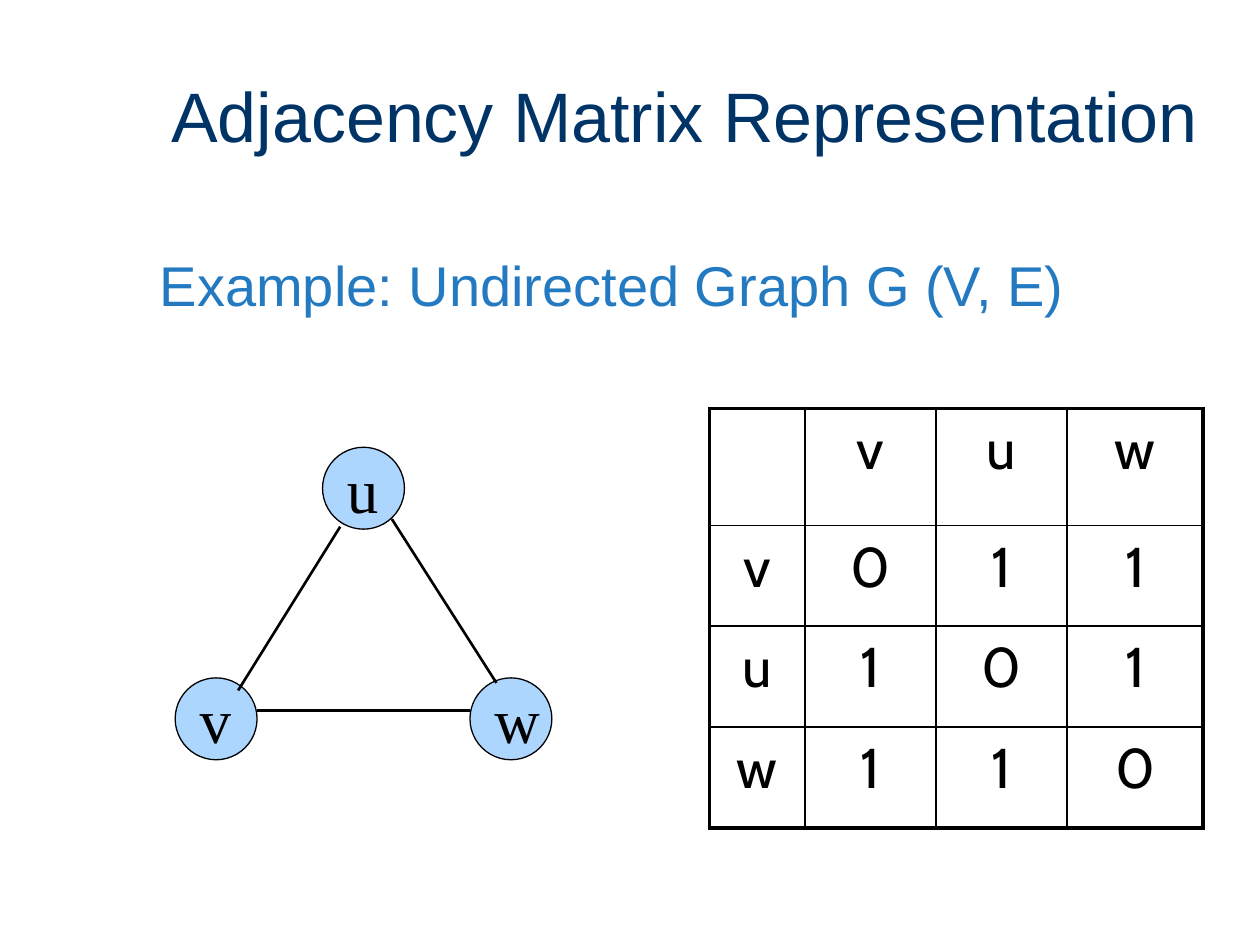
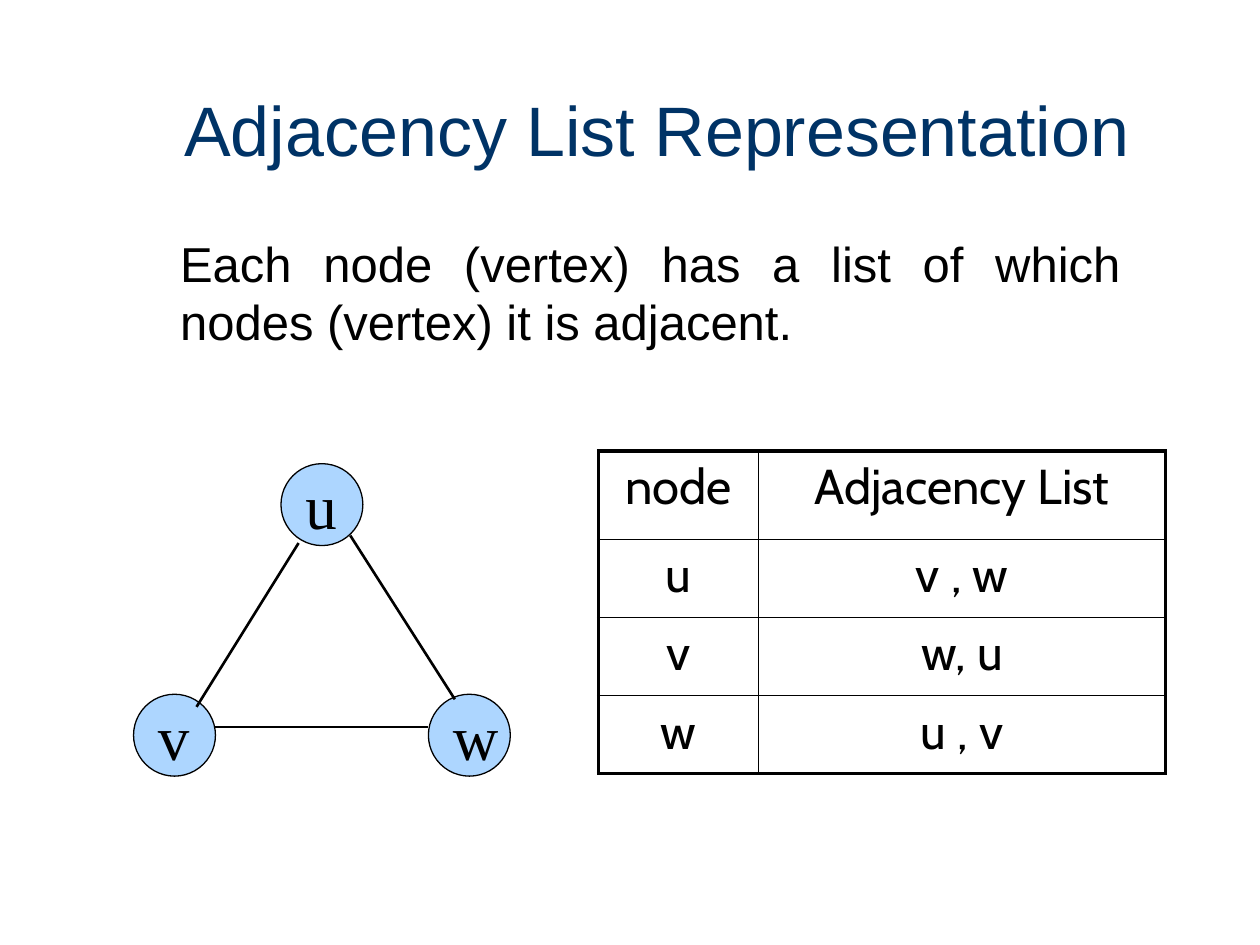
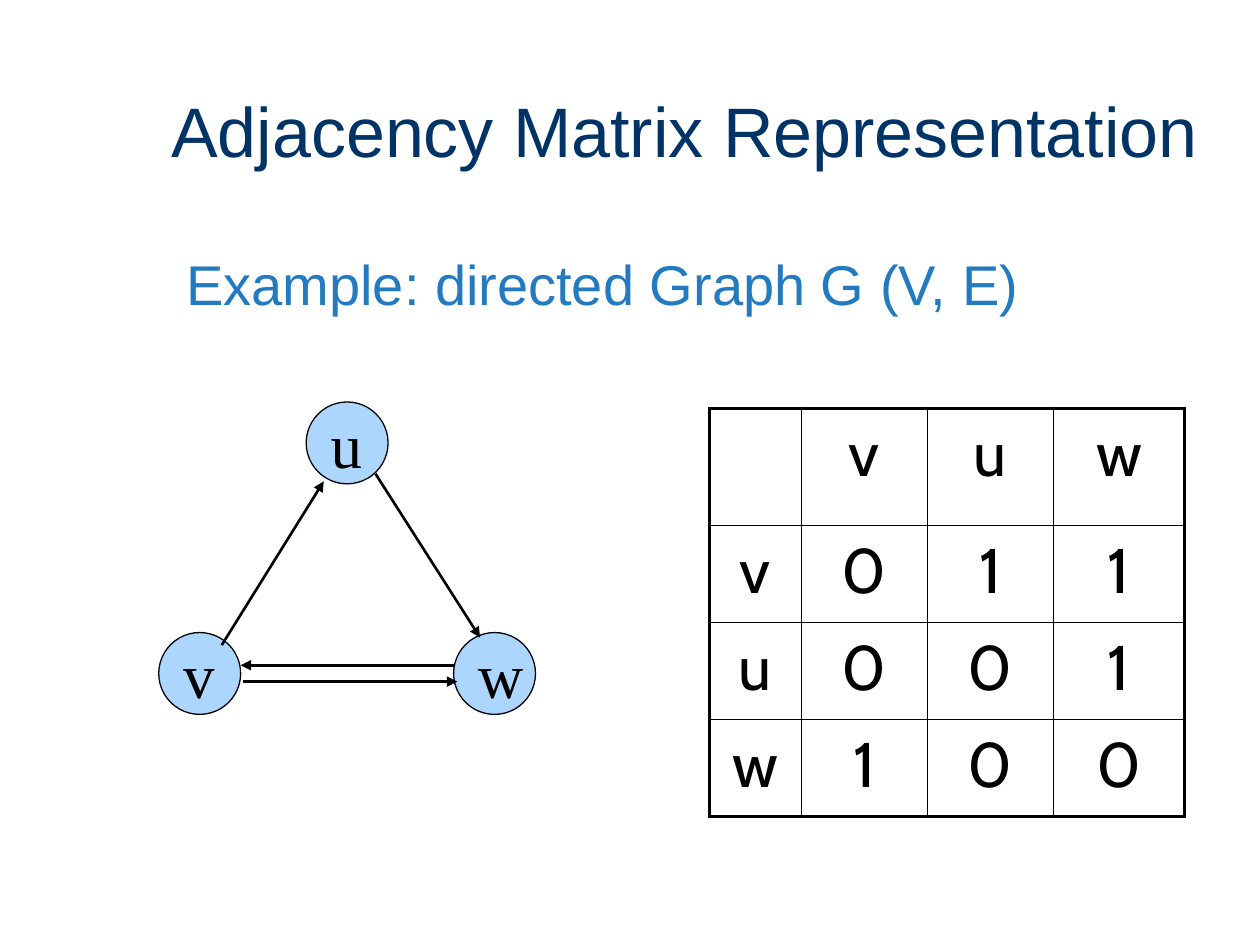
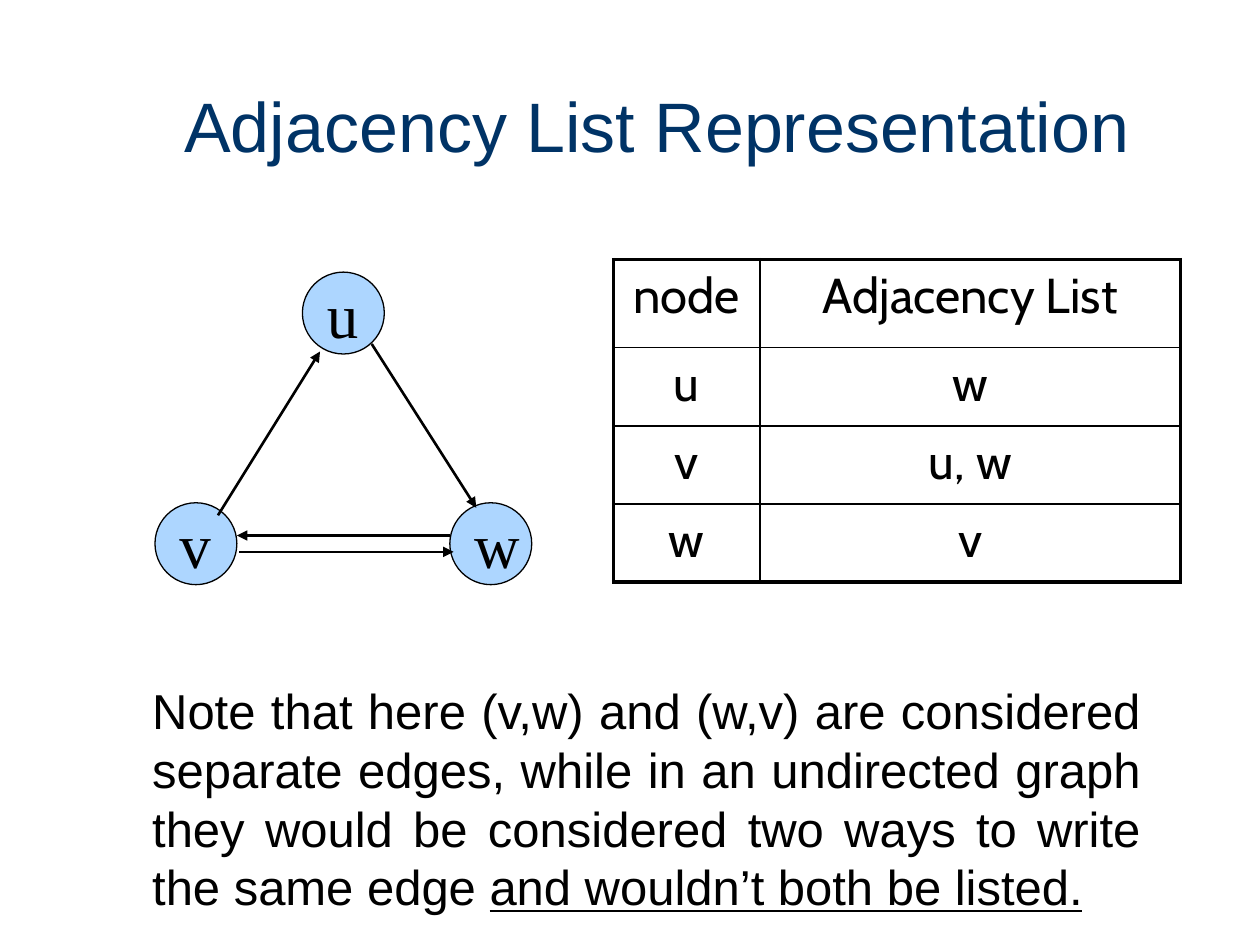
from lxml import etree
from pptx import Presentation
from pptx import util as u
from pptx.dml.color import RGBColor
from pptx.enum import shapes, text
from pptx.oxml import ns

# Shared look
BLACK, NAVY, BLUE, NODE_FILL = "000000", "003366", "237AC1", "ADD6FF"
BODY_FONT, NODE_FONT, TABLE_FONT = "Arial", "Times New Roman", "Cabin"
LEFT, CENTER, JUSTIFY = text.PP_ALIGN.LEFT, text.PP_ALIGN.CENTER, text.PP_ALIGN.JUSTIFY
THIN, THICK = 1, 2.25

# Graph layout, measured from the top left corner of the triangle
NODE_SIZE = 0.65
NODES = {"u": (1.17, 0), "v": (0, 1.83), "w": (2.34, 1.83)}
SIDES = {
    "vw": ((0.65, 2.09), (2.34, 2.09)),
    "wv": ((2.34, 2.09), (0.65, 2.09)),
    "uw": ((1.72, 0.57), (2.55, 1.87)),
    "vu": ((0.5, 1.93), (1.31, 0.63)),
    "vw below": ((0.67, 2.22), (2.37, 2.22)),
}
UNDIRECTED = ("vw", "uw", "vu")
DIRECTED = ("wv", "uw", "vu", "vw below")


def color(value):
    return RGBColor.from_string(value)


def inches(*lengths):
    return [u.Inches(length) for length in lengths]


def write(para, words, size, font=BODY_FONT, fill=BLACK, align=LEFT, underlined=""):
    """Fill a paragraph, with an optional underlined ending."""
    para.alignment = align
    for part, underline in ((words, None), (underlined, True)):
        if part:
            span = para.add_run()
            span.text = part
            span.font.size = u.Pt(size)
            span.font.name = font
            span.font.color.rgb = color(fill)
            span.font.underline = underline


def add_title(page, words, left, top, height, align=LEFT):
    box = page.shapes.add_textbox(*inches(left, top, 8.52, height))
    frame = box.text_frame
    frame.word_wrap = True
    frame.vertical_anchor = text.MSO_ANCHOR.MIDDLE
    write(frame.paragraphs[0], words, 40, fill=NAVY, align=align)


def add_body(page, words, at, size, indent=0, **look):
    frame = page.shapes.add_textbox(*inches(*at)).text_frame
    frame.word_wrap = True
    frame.margin_left = u.Inches(0.1 + indent)
    frame.margin_top = u.Inches(0.09)
    write(frame.paragraphs[0], words, size, **look)


def add_node(group, name, left, top):
    node = group.shapes.add_shape(
        shapes.MSO_SHAPE.OVAL, *inches(left, top, NODE_SIZE, NODE_SIZE))
    node.shadow.inherit = False
    node.fill.solid()
    node.fill.fore_color.rgb = color(NODE_FILL)
    node.line.color.rgb = color(BLACK)
    node.line.width = u.Pt(0.75)
    frame = node.text_frame
    frame.word_wrap = False
    frame.vertical_anchor = text.MSO_ANCHOR.MIDDLE
    write(frame.paragraphs[0], name, 36, font=NODE_FONT)


def add_edge(group, start, end, arrow):
    edge = group.shapes.add_connector(
        shapes.MSO_CONNECTOR.STRAIGHT, *inches(*start, *end))
    edge.line.color.rgb = color(BLACK)
    edge.line.width = u.Pt(1.5)
    if arrow:
        etree.SubElement(edge.line._get_or_add_ln(), ns.qn("a:tailEnd"), type="triangle")
    etree.SubElement(edge._element.spPr, ns.qn("a:effectLst"))


def add_graph(page, left, top, sides, arrows=False):
    group = page.shapes.add_group_shape()
    for name, (x, y) in NODES.items():
        add_node(group, name, left + x, top + y)
    for side in sides:
        start, end = [(left + x, top + y) for x, y in SIDES[side]]
        add_edge(group, start, end, arrows)


def set_borders(cell, widths):
    """Draw the left, right, top and bottom borders, then clear the fill."""
    properties = cell._tc.get_or_add_tcPr()
    for side, width in zip("LRTB", widths):
        line = etree.SubElement(properties, ns.qn(f"a:ln{side}"), w=str(u.Pt(width)))
        paint = etree.SubElement(line, ns.qn("a:solidFill"))
        etree.SubElement(paint, ns.qn("a:srgbClr"), val=BLACK)
    cell.fill.background()


def add_grid(page, left, top, widths, heights, rows, size, margins=(0.1, 0.05)):
    """Add a centred table with a thick frame and thin inner lines."""
    frame = page.shapes.add_table(
        len(heights), len(widths), *inches(left, top, sum(widths), sum(heights)))
    table = frame.table
    table.first_row = table.horz_banding = False
    for column, width in zip(table.columns, widths):
        column.width = u.Inches(width)
    for row, height in zip(table.rows, heights):
        row.height = u.Inches(height)
    last_row, last_column = len(heights) - 1, len(widths) - 1
    for r, row in enumerate(rows):
        for c, words in enumerate(row):
            cell = table.cell(r, c)
            cell.margin_left = cell.margin_right = u.Inches(margins[0])
            cell.margin_top = cell.margin_bottom = u.Inches(margins[1])
            write(cell.text_frame.paragraphs[0], words, size, font=TABLE_FONT, align=CENTER)
            outer = (c == 0, c == last_column, r == 0, r == last_row)
            set_borders(cell, [THICK if edge else THIN for edge in outer])


def add_matrix(page, widths, row_height, values, size, margin):
    names = "vuw"
    rows = [["", *names]] + [[name, *line] for name, line in zip(names, values)]
    add_grid(page, 5.63, 3.24, widths, [0.93] + [row_height] * 3, rows, size, (margin, 0.06))


def add_adjacency_list(page, left, top, widths, neighbours):
    rows = [("node", "Adjacency List"), *zip("uvw", neighbours)]
    add_grid(page, left, top, widths, [0.7] + [0.62] * 3, rows, 28)


def main():
    deck = Presentation()
    deck.slide_width, deck.slide_height = inches(10, 7.5)
    pages = [deck.slides.add_slide(deck.slide_layouts[6]) for _ in range(4)]

    # Undirected graph: matrix
    page = pages[0]
    add_title(page, "Adjacency Matrix Representation", 1.26, 0.23, 1.36)
    add_body(page, "Example: Undirected Graph G (V, E)", (1.17, 1.9, 7.96, 0.67), 32, fill=BLUE)
    add_graph(page, 1.39, 3.55, UNDIRECTED)
    add_matrix(page, (0.76, 1.04, 1.04, 1.08), 0.8, ("011", "101", "110"), 32, 0.13)

    # Undirected graph: list
    page = pages[1]
    add_title(page, "Adjacency List Representation", 0.95, 0.22, 1.6, align=CENTER)
    add_body(page, "Each node (vertex) has a list of which nodes (vertex) it is adjacent.",
             (0.95, 1.76, 8.04, 0.96), 28, indent=0.38, align=JUSTIFY)
    add_graph(page, 1.06, 3.68, UNDIRECTED)
    add_adjacency_list(page, 4.75, 3.58, (1.27, 3.23), ("v , w", "w, u", "u , v"))

    # Directed graph: matrix
    page = pages[2]
    add_title(page, "Adjacency Matrix Representation", 1.26, 0.23, 1.6)
    add_body(page, "Example: directed Graph G (V, E)", (1.38, 1.89, 7.33, 0.67), 32, fill=BLUE)
    add_graph(page, 1.26, 3.19, DIRECTED, arrows=True)
    add_matrix(page, (0.73, 1, 1, 1.04), 0.77, ("011", "001", "100"), 36, 0.12)

    # Directed graph: list
    page = pages[3]
    add_title(page, "Adjacency List Representation", 0.95, 0.19, 1.6, align=CENTER)
    add_graph(page, 1.23, 2.16, DIRECTED, arrows=True)
    add_adjacency_list(page, 4.87, 2.06, (1.16, 3.34), ("w", "u, w", "v"))
    add_body(page, "Note that here (v,w) and (w,v) are considered separate edges, while in an "
             "undirected graph they would be considered two ways to write the same edge ",
             (1.11, 5.31, 8.04, 0.96), 28, align=JUSTIFY,
             underlined="and wouldn’t both be listed.")

    deck.save("out.pptx")


if __name__ == "__main__":
    main()
